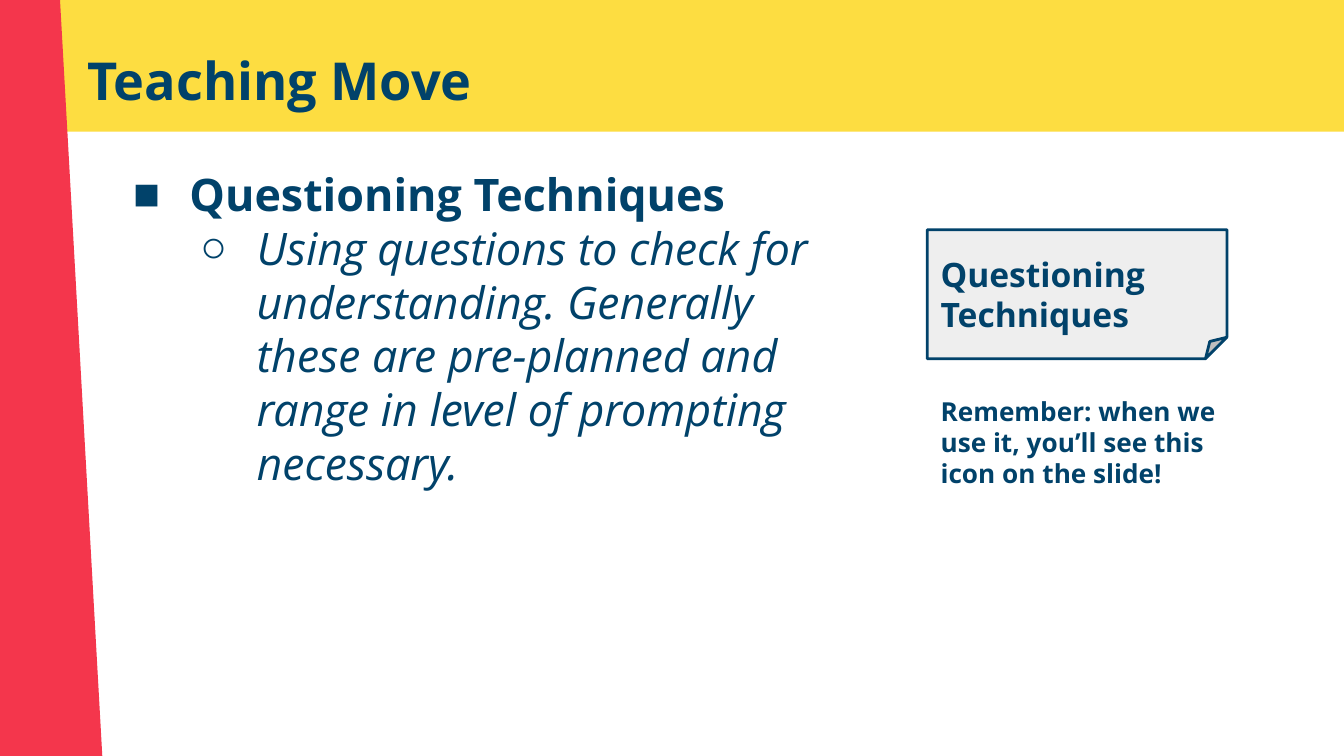
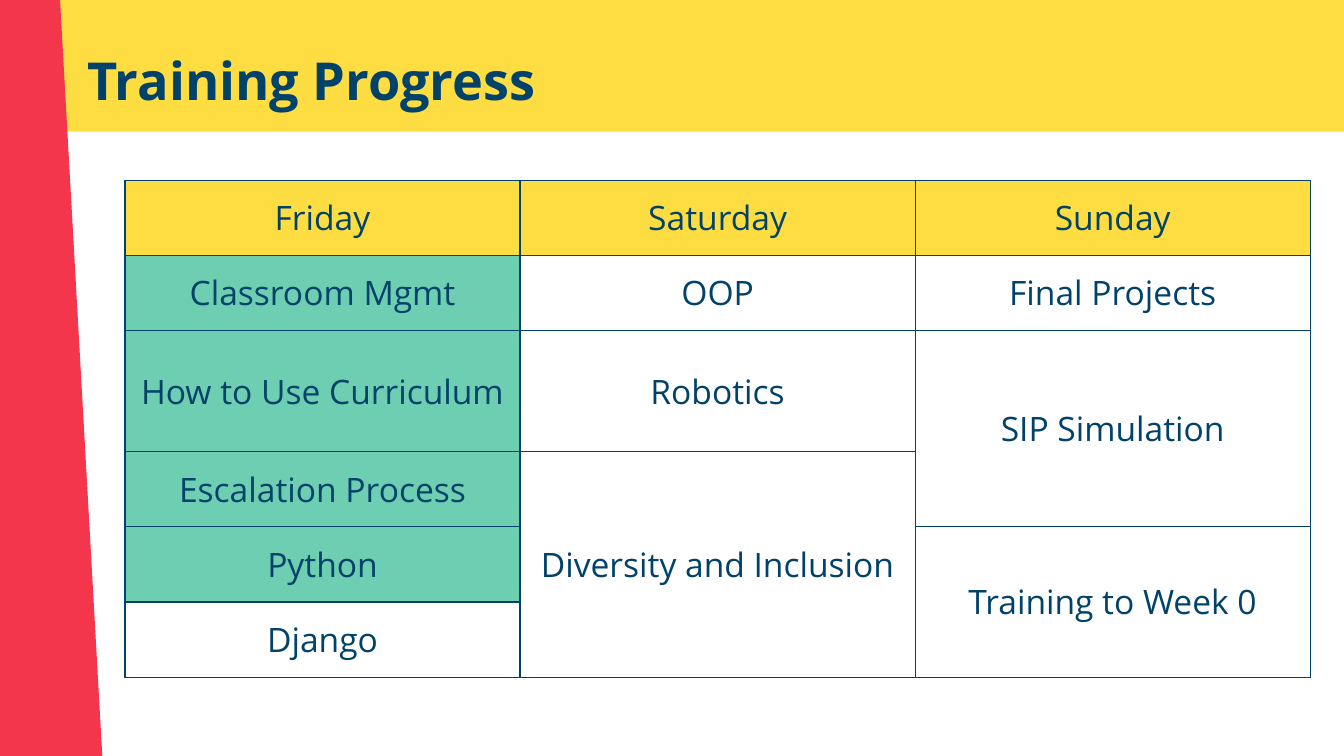
"""Build two training slides: a teaching move and the training progress table."""
from lxml.etree import SubElement
from pptx import Presentation
from pptx.dml.color import RGBColor
from pptx.enum.shapes import MSO_SHAPE
from pptx.enum.text import MSO_ANCHOR, MSO_AUTO_SIZE, PP_ALIGN
from pptx.oxml.ns import qn
from pptx.util import Inches, Pt

NAVY = RGBColor(0x01, 0x42, 0x6A)
YELLOW = RGBColor(0xFD, 0xDD, 0x41)
RED = RGBColor(0xF4, 0x36, 0x4C)
GREEN = RGBColor(0x6E, 0xCE, 0xB2)
GRAY = RGBColor(0xEE, 0xEE, 0xEE)
FONT = "Open Sans"
BANDS = [(-0.84, -0.02, 11, 1, 0, YELLOW), (-5.13, 0.7, 10.21, 1.08, 86.8, RED)]


def set_frame(tf, anchor):
    tf.word_wrap = True
    tf.auto_size = MSO_AUTO_SIZE.NONE
    tf.vertical_anchor = anchor
    tf.margin_left = tf.margin_right = tf.margin_top = tf.margin_bottom = Inches(0.1)


def add_run(p, text, size, bold=False, italic=False, align=PP_ALIGN.LEFT):
    p.alignment = align
    p.space_before = Pt(0)
    r = p.add_run()
    r.text = text
    r.font.name = FONT
    r.font.size = Pt(size)
    r.font.bold = bold
    r.font.italic = italic
    r.font.color.rgb = NAVY


prs = Presentation()
prs.slide_width, prs.slide_height = Inches(10), Inches(10 * 9 / 16)

slides = []
for title, layout in [("Teaching Move", 1), ("Training Progress", 5)]:
    s = prs.slides.add_slide(prs.slide_layouts[layout])
    for i, (x, y, w, h, angle, color) in enumerate(BANDS):
        sp = s.shapes.add_shape(MSO_SHAPE.RECTANGLE, Inches(x), Inches(y), Inches(w), Inches(h))
        sp.rotation = angle
        sp.shadow.inherit = False
        sp.fill.solid()
        sp.fill.fore_color.rgb = color
        sp.line.fill.background()
        s.shapes._spTree.insert(2 + i, sp._element)
    sp = s.shapes.title
    sp.left, sp.top, sp.width, sp.height = Inches(0.55), Inches(0.26), Inches(9.32), Inches(0.63)
    set_frame(sp.text_frame, MSO_ANCHOR.TOP)
    add_run(sp.text_frame.paragraphs[0], title, 28, bold=True)
    slides.append(s)

move, progress = slides

sp = move.placeholders[1]
sp.left, sp.top, sp.width, sp.height = Inches(0.81), Inches(1.14), Inches(5.49), Inches(3.74)
tf = sp.text_frame
set_frame(tf, MSO_ANCHOR.TOP)
items = [
    ("Questioning Techniques", "■"),
    ("Using questions to check for understanding. Generally these are pre-planned "
     "and range in level of prompting necessary.", "○"),
]
for level, (text, bullet) in enumerate(items):
    p = tf.add_paragraph() if level else tf.paragraphs[0]
    p.level = level
    pPr = p._p.get_or_add_pPr()
    pPr.set("marL", str(Inches(0.5 * (level + 1))))
    pPr.set("indent", str(Inches(-0.42)))
    SubElement(SubElement(pPr, qn("a:buClr")), qn("a:srgbClr"), val=str(NAVY))
    SubElement(pPr, qn("a:buChar"), char=bullet)
    add_run(p, text, 24, bold=level == 0, italic=level == 1)

notes = [
    (2.91, 14, ["Remember: when we use it, you’ll see this icon on the slide!"]),
    (1.81, 18, ["Questioning", "Techniques"]),
]
boxes = []
for top, size, lines in notes:
    sp = move.shapes.add_textbox(Inches(6.9), Inches(top), Inches(2.38), Inches(0.76))
    tf = sp.text_frame
    set_frame(tf, MSO_ANCHOR.MIDDLE)
    for i, line in enumerate(lines):
        add_run(tf.add_paragraph() if i else tf.paragraphs[0], line, size, bold=True)
    boxes.append(sp)

card = move.shapes.add_shape(MSO_SHAPE.FOLDED_CORNER, Inches(6.9), Inches(1.71), Inches(2.23), Inches(0.96))
card.shadow.inherit = False
card.fill.solid()
card.fill.fore_color.rgb = GRAY
card.line.color.rgb = NAVY
card.line.width = Pt(1.5)
move.shapes.add_group_shape([card, boxes[1]])

schedule = [
    ["Friday", "Saturday", "Sunday"],
    ["Classroom Mgmt", "OOP", "Final Projects"],
    ["How to Use Curriculum", "Robotics", "SIP Simulation"],
    ["Escalation Process", "Diversity and Inclusion", None],
    ["Python", None, "Training to Week 0"],
    ["Django", None, None],
]
heights = [0.56, 0.56, 0.9, 0.56, 0.56, 0.56]
done_rows = range(1, 5)
table = progress.shapes.add_table(
    len(schedule), 3, Inches(0.93), Inches(1.34), Inches(3 * 2.94), Inches(sum(heights))).table
table.first_row = table.horz_banding = False
for col in table.columns:
    col.width = Inches(2.94)
for row, height in zip(table.rows, heights):
    row.height = Inches(height)
for top, bottom, col in [(2, 3, 2), (3, 5, 1), (4, 5, 2)]:
    table.cell(top, col).merge(table.cell(bottom, col))

for i, row in enumerate(schedule):
    for j, text in enumerate(row):
        cell = table.cell(i, j)
        cell.vertical_anchor = MSO_ANCHOR.MIDDLE
        cell.margin_left = cell.margin_right = cell.margin_top = cell.margin_bottom = Inches(0.1)
        tcPr = cell._tc.get_or_add_tcPr()
        for side in ("lnL", "lnR", "lnT", "lnB"):
            ln = SubElement(tcPr, qn("a:" + side), w=str(Pt(0.75)))
            SubElement(SubElement(ln, qn("a:solidFill")), qn("a:srgbClr"), val=str(NAVY))
        if i == 0 or (j == 0 and i in done_rows):
            cell.fill.solid()
            cell.fill.fore_color.rgb = GREEN if i else YELLOW
        else:
            cell.fill.background()
        if text:
            add_run(cell.text_frame.paragraphs[0], text, 18, align=PP_ALIGN.CENTER)

prs.save("out.pptx")
